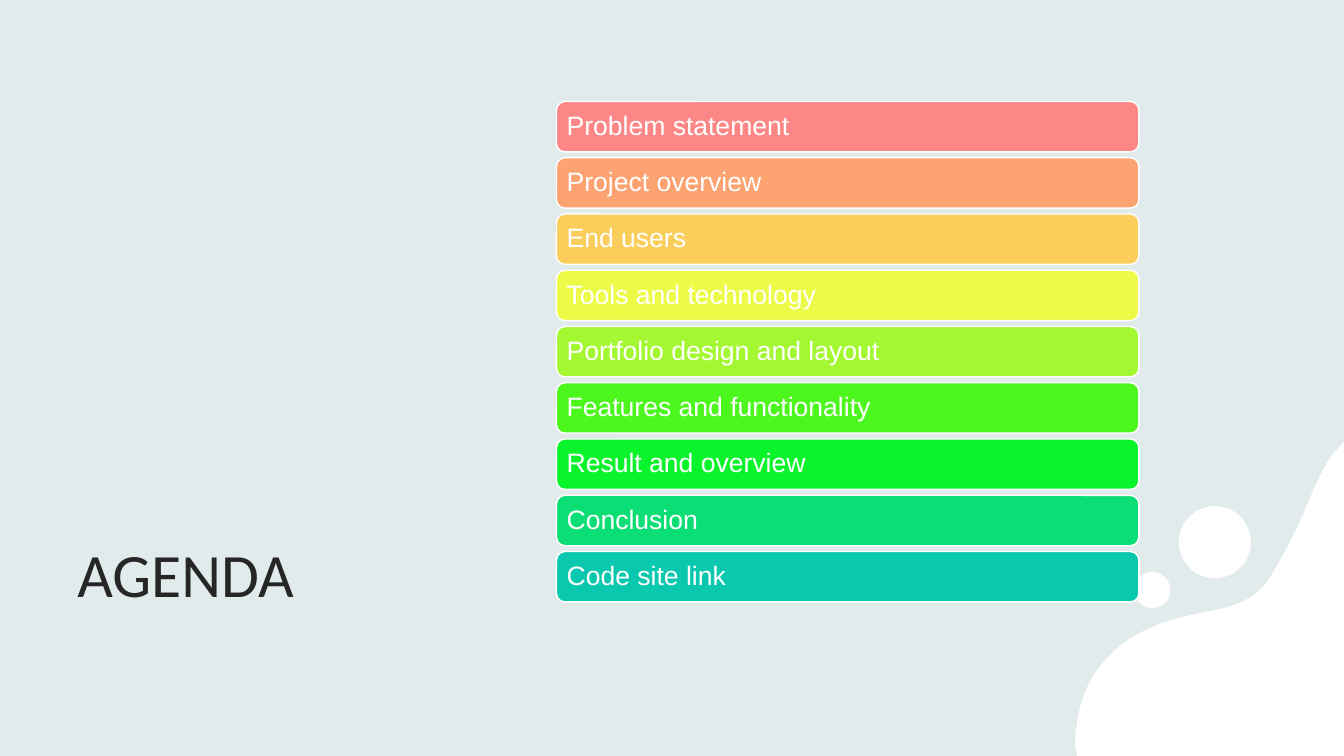
from dataclasses import dataclass

from pptx import Presentation
from pptx.dml.color import RGBColor
from pptx.enum.shapes import MSO_SHAPE
from pptx.enum.text import MSO_ANCHOR, MSO_AUTO_SIZE, PP_ALIGN
from pptx.util import Emu, Pt

PX = 6350  # EMU per px; the slide is 1920 x 1080 px


@dataclass(frozen=True)
class Theme:
    background: str = "E2EBEB"
    white: str = "FFFFFF"
    title: str = "262626"
    title_font: str = "Calibri"
    body_font: str = "Arial"
    title_size: int = 44
    body_size: int = 19


@dataclass(frozen=True)
class Topic:
    label: str
    fill: str


@dataclass(frozen=True)
class Bubble:
    left: int
    top: int
    diameter: int


THEME = Theme()
TOPICS = [
    Topic("Problem statement", "FD8686"),
    Topic("Project overview", "FCA371"),
    Topic("End users", "FBCE5C"),
    Topic("Tools and technology", "EDFA47"),
    Topic("Portfolio design and layout", "A3F832"),
    Topic("Features and functionality", "4CF71E"),
    Topic("Result and overview", "0AF42C"),
    Topic("Conclusion", "0ADE74"),
    Topic("Code site link", "0AC8AD"),
]
BUBBLES = [Bubble(1684, 723, 103), Bubble(1620, 817, 52)]

BAR_LEFT, BAR_WIDTH, BAR_HEIGHT = 795, 832, 72
FIRST_TOP, LAST_TOP = 145, 788

# Wave edge: a start point, then two control points and an end point per curve
WAVE = [
    (1536, 1066),
    (1536, 1057), (1536, 1047), (1538, 1038),
    (1548, 949), (1610, 896), (1708, 877),
    (1747, 870), (1790, 863), (1813, 827),
    (1837, 788), (1858, 746), (1875, 703),
    (1884, 683), (1892, 664), (1905, 648),
]
CURVE_STEPS = 16


def px(n: float) -> Emu:
    return Emu(round(n * PX))


def paint(s, fill: str, line: str | None = None) -> None:
    s.shadow.inherit = False
    s.fill.solid()
    s.fill.fore_color.rgb = RGBColor.from_string(fill)
    if line:
        s.line.color.rgb = RGBColor.from_string(line)
        s.line.width = Pt(1)
    else:
        s.line.fill.background()


def write(s, text: str, font: str, size: int, color: str, frame: dict) -> None:
    tf = s.text_frame
    for name, value in frame.items():
        setattr(tf, name, value)
    p = tf.paragraphs[0]
    p.alignment = PP_ALIGN.LEFT
    r = p.add_run()
    r.text = text
    for name, value in {"name": font, "size": Pt(size)}.items():
        setattr(r.font, name, value)
    r.font.color.rgb = RGBColor.from_string(color)


def curve_points(nodes: list[tuple[int, int]]) -> list[tuple[float, float]]:
    """Return points along a chain of cubic Bézier curves."""
    points = [nodes[0]]
    for i in range(0, len(nodes) - 1, 3):
        a, b, c, d = nodes[i:i + 4]
        for step in range(1, CURVE_STEPS + 1):
            t = step / CURVE_STEPS
            u = 1 - t
            points.append(tuple(
                u**3 * a[k] + 3 * u * u * t * b[k] + 3 * u * t * t * c[k] + t**3 * d[k]
                for k in (0, 1)
            ))
    return points


def add_wave(slide) -> None:
    builder = slide.shapes.build_freeform(px(1920), px(1080), scale=1.0)
    outline = [(1539, 1080), *curve_points(WAVE), (1920, 631)]
    builder.add_line_segments([(px(x), px(y)) for x, y in outline], close=True)
    paint(builder.convert_to_shape(), THEME.white)


def add_bubble(slide, bubble: Bubble) -> None:
    size = px(bubble.diameter)
    s = slide.shapes.add_shape(
        MSO_SHAPE.OVAL, px(bubble.left), px(bubble.top), size, size)
    paint(s, THEME.white)


def add_topic(slide, topic: Topic, top: float) -> None:
    s = slide.shapes.add_shape(
        MSO_SHAPE.ROUNDED_RECTANGLE, px(BAR_LEFT), px(top), px(BAR_WIDTH), px(BAR_HEIGHT))
    s.adjustments[0] = 0.17
    paint(s, topic.fill, THEME.white)
    write(s, topic.label, THEME.body_font, THEME.body_size, THEME.white, {
        "word_wrap": True,
        "vertical_anchor": MSO_ANCHOR.MIDDLE,
        "margin_left": px(11),
        "margin_right": px(11),
    })
    s.text_frame.paragraphs[0].line_spacing = 0.9


def add_title(slide) -> None:
    s = slide.shapes.title
    box = {"left": 96, "top": 128, "width": 576, "height": 750}
    for name, value in box.items():
        setattr(s, name, px(value))
    write(s, "AGENDA", THEME.title_font, THEME.title_size, THEME.title, {
        "word_wrap": True,
        "auto_size": MSO_AUTO_SIZE.NONE,
        "vertical_anchor": MSO_ANCHOR.BOTTOM,
    })


def main() -> None:
    prs = Presentation()
    prs.slide_width, prs.slide_height = px(1920), px(1080)
    slide = prs.slides.add_slide(prs.slide_layouts[5])
    fill = slide.background.fill
    fill.solid()
    fill.fore_color.rgb = RGBColor.from_string(THEME.background)

    add_wave(slide)
    for bubble in BUBBLES:
        add_bubble(slide, bubble)
    add_title(slide)
    pitch = (LAST_TOP - FIRST_TOP) / (len(TOPICS) - 1)
    for i, topic in enumerate(TOPICS):
        add_topic(slide, topic, FIRST_TOP + i * pitch)

    prs.save("out.pptx")


if __name__ == "__main__":
    main()
